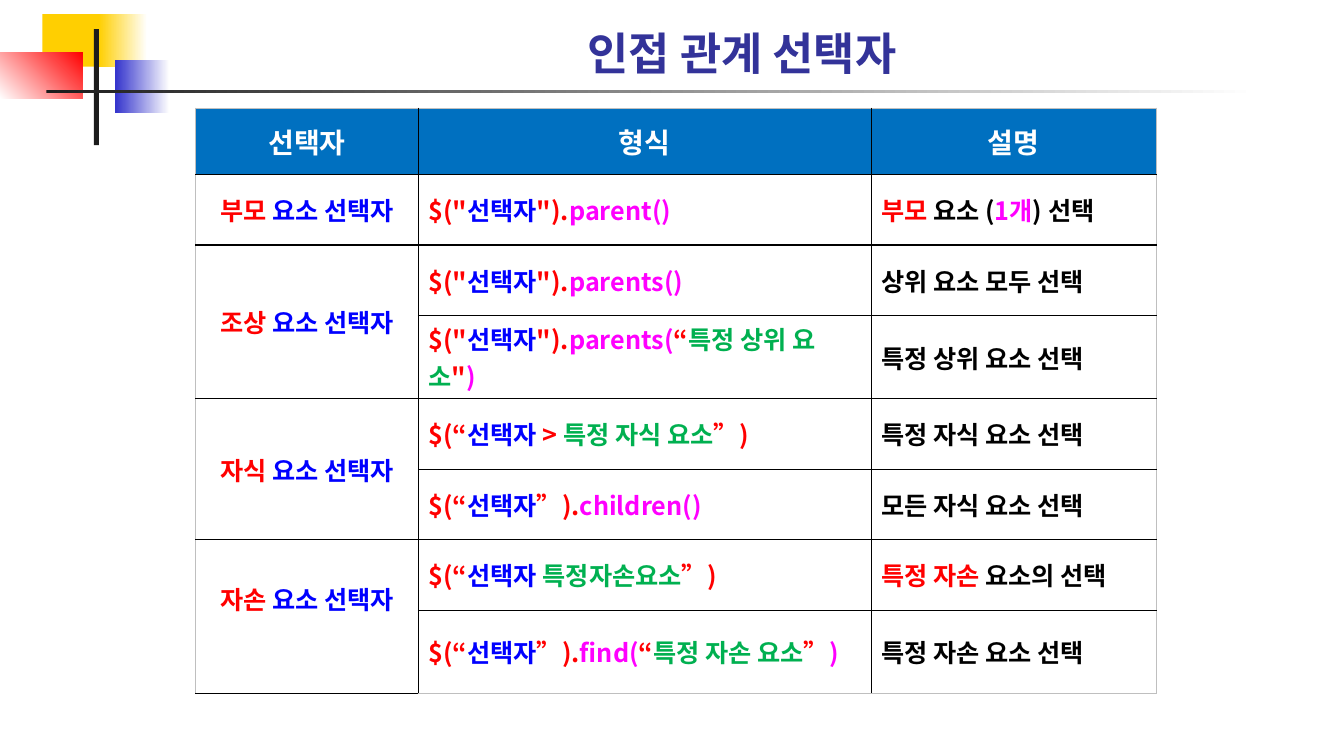
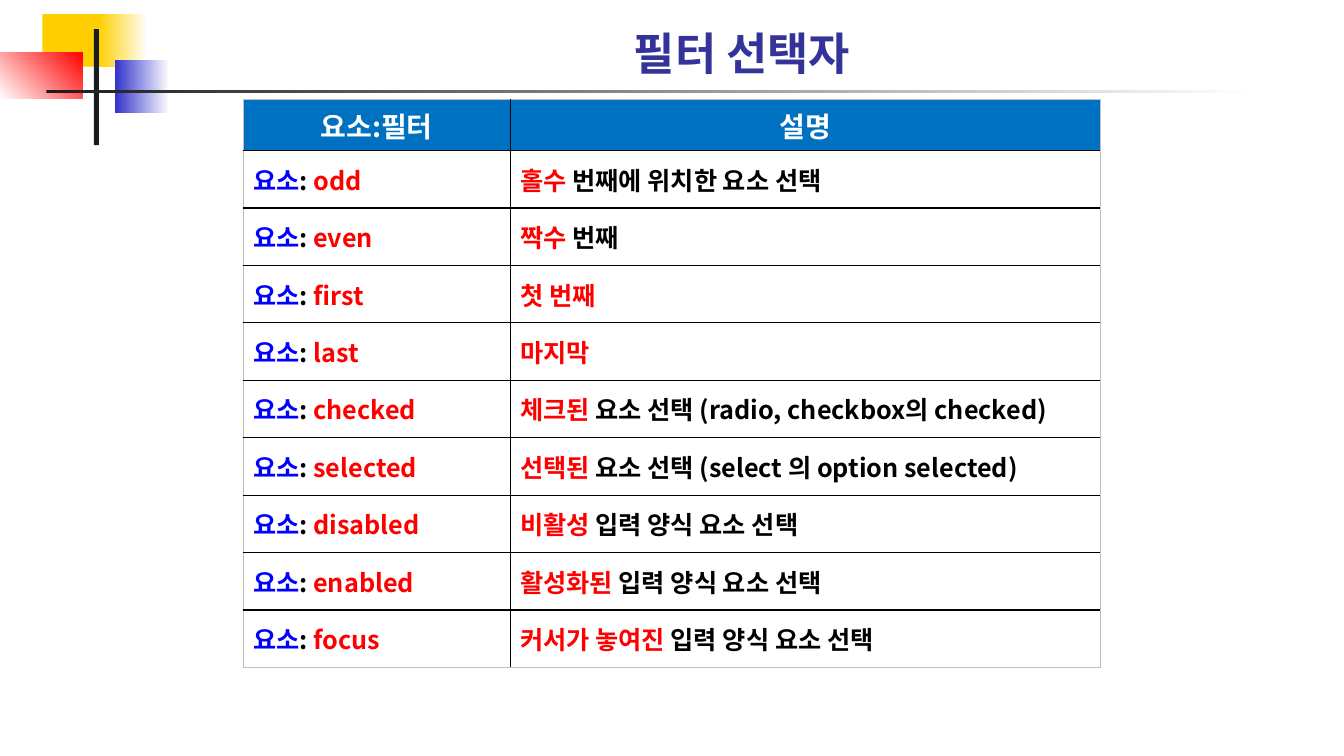
from dataclasses import dataclass, field

from lxml import etree
from pptx import Presentation
from pptx import util as u
from pptx.dml.color import RGBColor
from pptx.enum import shapes, text
from pptx.oxml import ns


@dataclass
class Theme:
    font: str = "Noto Sans CJK KR"
    title: str = "333399"
    header: str = "0070C0"
    white: str = "FFFFFF"
    yellow: str = "FFCF01"
    blue: str = "3333CC"
    red: str = "FF0000"
    dark: str = "1C1C1C"
    grid: str = "000000"
    edge: str = "BFBFBF"
    title_size: int = 32
    header_size: int = 20
    body_size: int = 18
    # Letters that mark the colour of a piece of text
    marks: dict = field(default_factory=lambda: {
        "w": "FFFFFF", "k": "000000", "r": "FF0000",
        "b": "0000FF", "m": "FF00FF", "g": "00B050"})


class Deck:
    def __init__(self, theme):
        self.theme = theme
        self.prs = Presentation()
        self.prs.slide_width = u.Inches(13.33)
        self.prs.slide_height = u.Inches(7.5)
        self.layout = self.prs.slide_layouts[5]
        self.s = None

    def new_slide(self, title):
        first = self.s is None
        self.s = self.prs.slides.add_slide(self.layout)
        if first:
            self.ornament()
        self.title(title)

    # Shared corner ornament, kept on the layout
    def ornament(self):
        t = self.theme
        self.block(0.42, 0.14, 0.64, 0.52, t.yellow)
        self.block(0.98, 0.14, 0.48, 0.52, t.yellow, t.white)
        self.block(1.14, 0.6, 0.54, 0.52, t.blue, t.white)
        self.block(0, 0.52, 0.82, 0.46, t.white, t.red, angle=45)
        self.block(0.93, 0.29, 0.05, 1.15, t.dark)
        self.block(0.46, 0.89, 12, 0.03, t.dark, t.white)

    def block(self, x, y, w, h, start, end=None, angle=0):
        sp = self.s.shapes.add_shape(
            shapes.MSO_SHAPE.RECTANGLE,
            u.Inches(x), u.Inches(y), u.Inches(w), u.Inches(h))
        sp.shadow.inherit = False
        sp.line.fill.background()
        if end is None:
            sp.fill.solid()
            sp.fill.fore_color.rgb = RGBColor.from_string(start)
        else:
            sp.fill.gradient()
            sp.fill.gradient_angle = angle
            for stop, color in zip(sp.fill.gradient_stops, (start, end)):
                stop.color.rgb = RGBColor.from_string(color)
        self.layout.shapes._spTree.append(sp._element)

    def title(self, words):
        sp = self.s.shapes.title
        sp.left, sp.top = u.Inches(1.68), u.Inches(0.23)
        sp.width, sp.height = u.Inches(11.36), u.Inches(0.61)
        tf = sp.text_frame
        tf.auto_size = text.MSO_AUTO_SIZE.NONE
        tf.word_wrap = True
        tf.vertical_anchor = text.MSO_ANCHOR.BOTTOM
        p = tf.paragraphs[0]
        p.alignment = text.PP_ALIGN.CENTER
        self.run(p, words, self.theme.title_size, self.theme.title)

    def run(self, p, words, size, color):
        r = p.add_run()
        r.text = words
        r.font.size = u.Pt(size)
        r.font.bold = True
        r.font.name = self.theme.font
        r.font.color.rgb = RGBColor.from_string(color)
        etree.SubElement(r._r.get_or_add_rPr(), ns.qn("a:ea"),
                         typeface=self.theme.font)

    # Tables: a cell is written as "mark:text|mark:text", None is merged upward
    def table(self, x, y, widths, heights, rows, centered=()):
        shape = self.s.shapes.add_table(
            len(rows), len(widths), u.Inches(x), u.Inches(y),
            u.Inches(sum(widths)), u.Inches(sum(heights)))
        tbl = shape.table
        tbl.first_row = tbl.horz_banding = False
        for col, w in zip(tbl.columns, widths):
            col.width = u.Inches(w)
        for row, h in zip(tbl.rows, heights):
            row.height = u.Inches(h)
        for i, row in enumerate(rows):
            for j, marked in enumerate(row):
                cell = tbl.cell(i, j)
                self.borders(cell, j == 0, j == len(widths) - 1,
                             i == 0, i == len(rows) - 1)
                self.cell(cell, marked, i == 0, i == 0 or j in centered)
                if marked is None:
                    tbl.cell(i - 1, j).merge(cell)
        return tbl

    def cell(self, cell, marked, header, center):
        t = self.theme
        cell.vertical_anchor = text.MSO_ANCHOR.MIDDLE
        if header:
            cell.fill.solid()
            cell.fill.fore_color.rgb = RGBColor.from_string(t.header)
        else:
            cell.fill.background()
        if marked is None:
            return
        p = cell.text_frame.paragraphs[0]
        if center:
            p.alignment = text.PP_ALIGN.CENTER
        for piece in marked.split("|"):
            mark, words = piece.split(":", 1)
            self.run(p, words, t.header_size if header else t.body_size,
                     t.marks[mark])

    def borders(self, cell, left, right, top, bottom):
        sides = {"a:lnL": left, "a:lnR": right, "a:lnT": top, "a:lnB": bottom}
        pr = cell._tc.get_or_add_tcPr()
        for tag, outer in sides.items():
            ln = etree.SubElement(pr, ns.qn(tag),
                                  w=str(u.Pt(0.5 if outer else 1)))
            fill = etree.SubElement(ln, ns.qn("a:solidFill"))
            etree.SubElement(fill, ns.qn("a:srgbClr"),
                             val=self.theme.edge if outer else self.theme.grid)


RELATIONS = [
    ("w:선택자", "w:형식", "w:설명"),
    ("r:부모 |b:요소 선택자", 'r:$("|b:선택자|r:").|m:parent()',
     "r:부모|k: 요소 (|m:1개|k:) 선택"),
    ("r:조상 |b:요소 선택자", 'r:$("|b:선택자|r:").|m:parents()',
     "k:상위 요소 모두 선택"),
    (None, 'r:$("|b:선택자|r:").|m:parents(|r:“|g:특정 상위 요소|r:"|m:)',
     "k:특정 상위 요소 선택"),
    ("r:자식 |b:요소 선택자", "r:$(“|b:선택자 |r:> |g:특정 자식 요소|r:”)",
     "k:특정 자식 요소 선택"),
    (None, "r:$(“|b:선택자|r:”).|m:children()", "k:모든 자식 요소 선택"),
    ("r:자손 |b:요소 선택자", "r:$(“|b:선택자 |g:특정자손요소|r:”)",
     "r:특정 자손|k: 요소의 선택"),
    (None, "r:$(“|b:선택자|r:”).|m:find(|r:“|g:특정 자손 요소|r:”|m:)",
     "k:특정 자손 요소 선택"),
]

FILTERS = [
    ("odd", "r:홀수|k: 번째에 위치한 요소 선택"),
    ("even", "r:짝수|k: 번째"),
    ("first", "r:첫 번째"),
    ("last", "r:마지막"),
    ("checked", "r:체크된|k: 요소 선택 (radio, checkbox의 checked)"),
    ("selected", "r:선택된 |k:요소 선택 (select 의 option selected)"),
    ("disabled", "r:비활성 |k:입력 양식 요소 선택"),
    ("enabled", "r:활성화된 |k:입력 양식 요소 선택"),
    ("focus", "r:커서가 놓여진 |k:입력 양식 요소 선택"),
]


def main():
    deck = Deck(Theme())

    # Adjacent relation selectors
    deck.new_slide("인접 관계 선택자")
    tbl = deck.table(1.94, 1.07, [2.21, 4.49, 2.83], [0.66] + [0.7] * 7,
                     RELATIONS, centered=(0,))
    tbl.cell(6, 0).margin_bottom = u.Inches(0.41)  # label sits above centre

    # Filter selectors
    deck.new_slide("필터 선택자")
    rows = [("w:요소:필터", "w:설명")]
    rows += [(f"b:요소|k:: |r:{name}", note) for name, note in FILTERS]
    deck.table(2.41, 0.99, [2.65, 5.85], [0.45] + [0.57] * len(FILTERS), rows)

    deck.prs.save("out.pptx")


if __name__ == "__main__":
    main()
